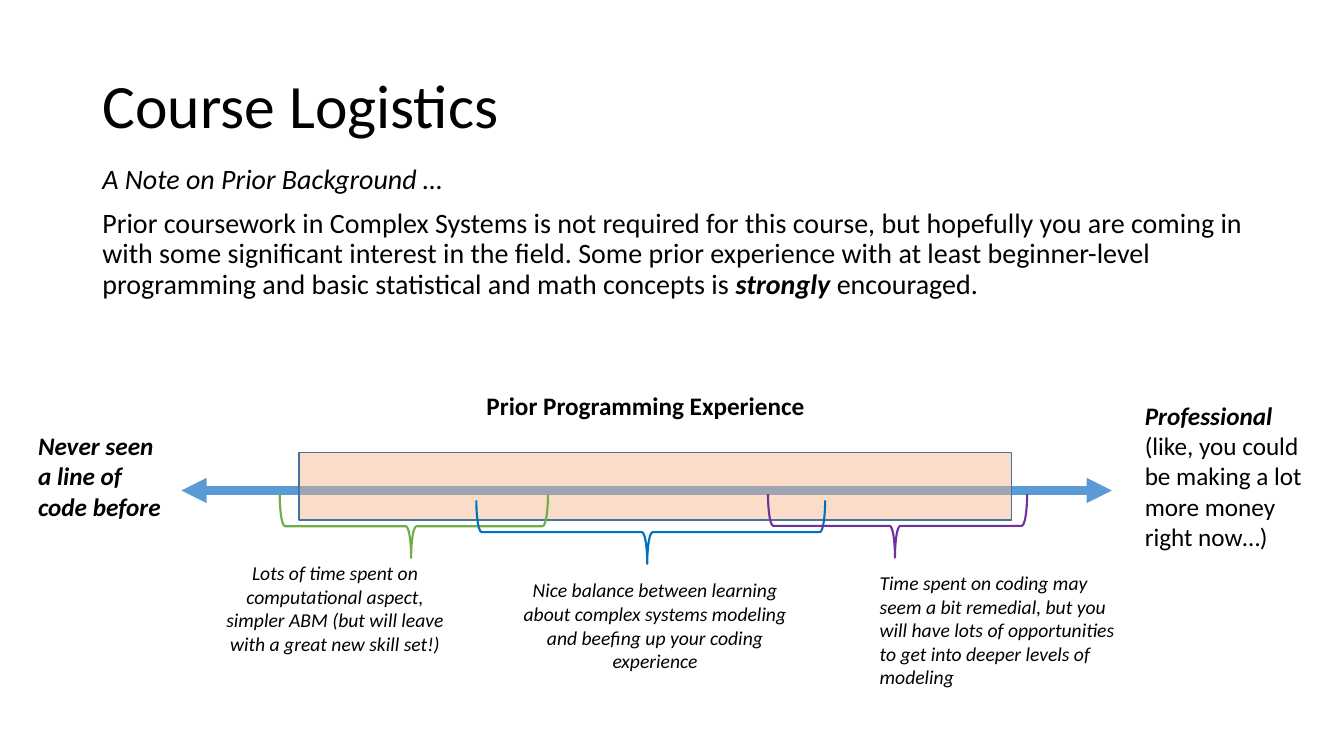
from lxml import etree
from pptx import Presentation
from pptx.dml.color import RGBColor
from pptx.enum import shapes, text
from pptx.oxml.ns import qn
from pptx.util import Cm, Pt

COLORS = {
    "ink": "000000", "axis": "5B9BD5", "range": "F4B183", "range_edge": "43739E",
    "beginner": "70AD47", "balanced": "0070C0", "advanced": "7030A0",
}
LEFT, CENTER = text.PP_ALIGN.LEFT, text.PP_ALIGN.CENTER


def color(name):
    return RGBColor.from_string(COLORS[name])


def write(shape, box, paragraphs, size, align=LEFT):
    """Place a text shape; each paragraph is a list of (wording, bold, italic) runs."""
    shape.left, shape.top, shape.width, shape.height = (Cm(v) for v in box)
    frame = shape.text_frame
    frame.word_wrap = True
    frame.auto_size = text.MSO_AUTO_SIZE.NONE
    for i, runs in enumerate(paragraphs):
        paragraph = frame.add_paragraph() if i else frame.paragraphs[0]
        paragraph.alignment = align
        paragraph.font.name = "Calibri"
        paragraph.font.size = Pt(size)
        paragraph.font.color.rgb = color("ink")
        for wording, bold, italic in runs:
            run = paragraph.add_run()
            run.text = wording
            run.font.bold, run.font.italic = bold, italic
    return frame


prs = Presentation()
prs.slide_width, prs.slide_height = Cm(33.87), Cm(19.05)
slide = prs.slides.add_slide(prs.slide_layouts[5])


def_box = (0, 0, Cm(1), Cm(1))
title = write(slide.shapes.title, (2.33, 0.89, 29.21, 3.68),
              [[("Course Logistics", False, False)]], 44)
title.vertical_anchor = text.MSO_ANCHOR.MIDDLE
title.paragraphs[0].line_spacing = 0.9

background = write(slide.shapes.add_textbox(*def_box), (2.33, 4.04, 30.56, 5), [
    [("A Note on Prior Background …", False, True)],
    [("Prior coursework in Complex Systems is not required for this course, but "
      "hopefully you are coming in with some significant interest in the field. "
      "Some prior experience with at least beginner-level programming and basic "
      "statistical and math concepts is ", False, False),
     ("strongly", True, True),
     (" encouraged.", False, False)],
], 20)
for paragraph in background.paragraphs:
    paragraph.line_spacing = 0.9
    paragraph.space_before = Pt(10)

# Experience axis with the expected range over it
axis = slide.shapes.add_connector(
    shapes.MSO_CONNECTOR.STRAIGHT, Cm(4.57), Cm(12.36), Cm(28.02), Cm(12.36))
axis.line.color.rgb = color("axis")
axis.line.width = Pt(6)
for end in ("headEnd", "tailEnd"):
    etree.SubElement(axis.line._get_or_add_ln(), qn(f"a:{end}"), type="triangle")
etree.SubElement(axis._element.spPr, qn("a:effectLst"))

expected = slide.shapes.add_shape(
    shapes.MSO_SHAPE.RECTANGLE, Cm(7.54), Cm(11.41), Cm(17.96), Cm(1.7))
expected.shadow.inherit = False
expected.fill.solid()
expected.fill.fore_color.rgb = color("range")
expected_color = expected.fill._xPr.find(qn("a:solidFill"))[0]
etree.SubElement(expected_color, qn("a:alpha"), val="44000")
expected.line.color.rgb = color("range_edge")
expected.line.width = Pt(1)

labels = [
    ((0.71, 10.72, 3.86, 2.57), [[("Never seen a line of code before", True, True)]]),
    ((12.01, 9.7, 8.59, 1.02), [[("Prior Programming Experience", True, False)]]),
    ((28.6, 9.96, 4.83, 4.11), [
        [("Professional", True, True)],
        [("(like, you could be making a lot more money right now…)", False, False)]]),
]
for box, paragraphs in labels:
    write(slide.shapes.add_textbox(*def_box), box, paragraphs, 18)

# Student groups: colour, brace centre x and y, brace span, note box, alignment, note
groups = [
    ("beginner", 10.43, 13.26, 6.76, (5.18, 14.02, 6.53, 2.64), CENTER,
     "Lots of time spent on computational aspect, simpler ABM "
     "(but will leave with a great new skill set!)"),
    ("balanced", 16.4, 13.41, 8.79, (12.88, 14.45, 7.26, 2.64), CENTER,
     "Nice balance between learning about complex systems modeling "
     "and beefing up your coding experience"),
    ("advanced", 22.62, 13.25, 6.53, (21.92, 14.27, 6.83, 3.25), LEFT,
     "Time spent on coding may seem a bit remedial, but you will have "
     "lots of opportunities to get into deeper levels of modeling"),
]
BRACE_DEPTH = 1.6
for name, x, y, span, box, align, note in groups:
    write(slide.shapes.add_textbox(*def_box), box, [[(note, False, True)]], 14, align)
    brace = slide.shapes.add_shape(
        shapes.MSO_SHAPE.LEFT_BRACE, Cm(x - BRACE_DEPTH / 2), Cm(y - span / 2),
        Cm(BRACE_DEPTH), Cm(span))
    brace.rotation = 270
    brace.adjustments[1] = 0.49
    brace.shadow.inherit = False
    brace.fill.background()
    brace.line.color.rgb = color(name)
    brace.line.width = Pt(1.5)

prs.save("out.pptx")
